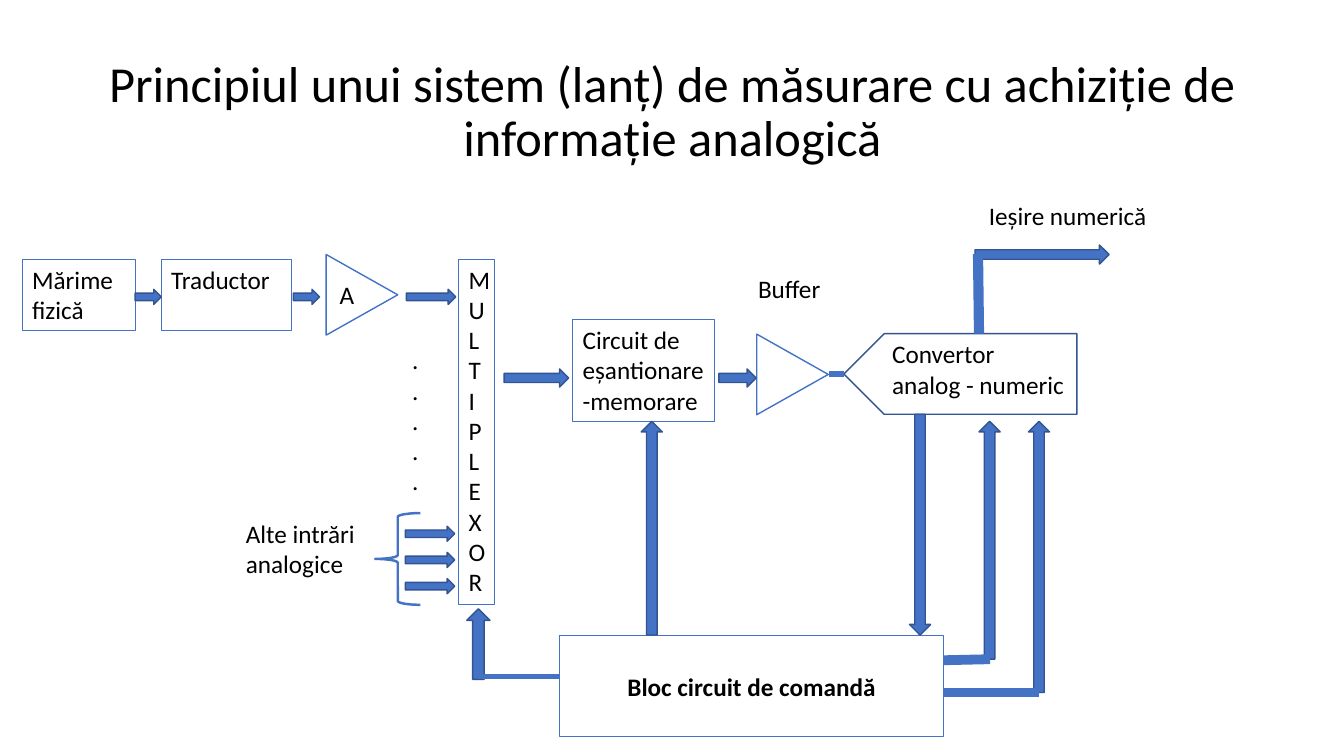
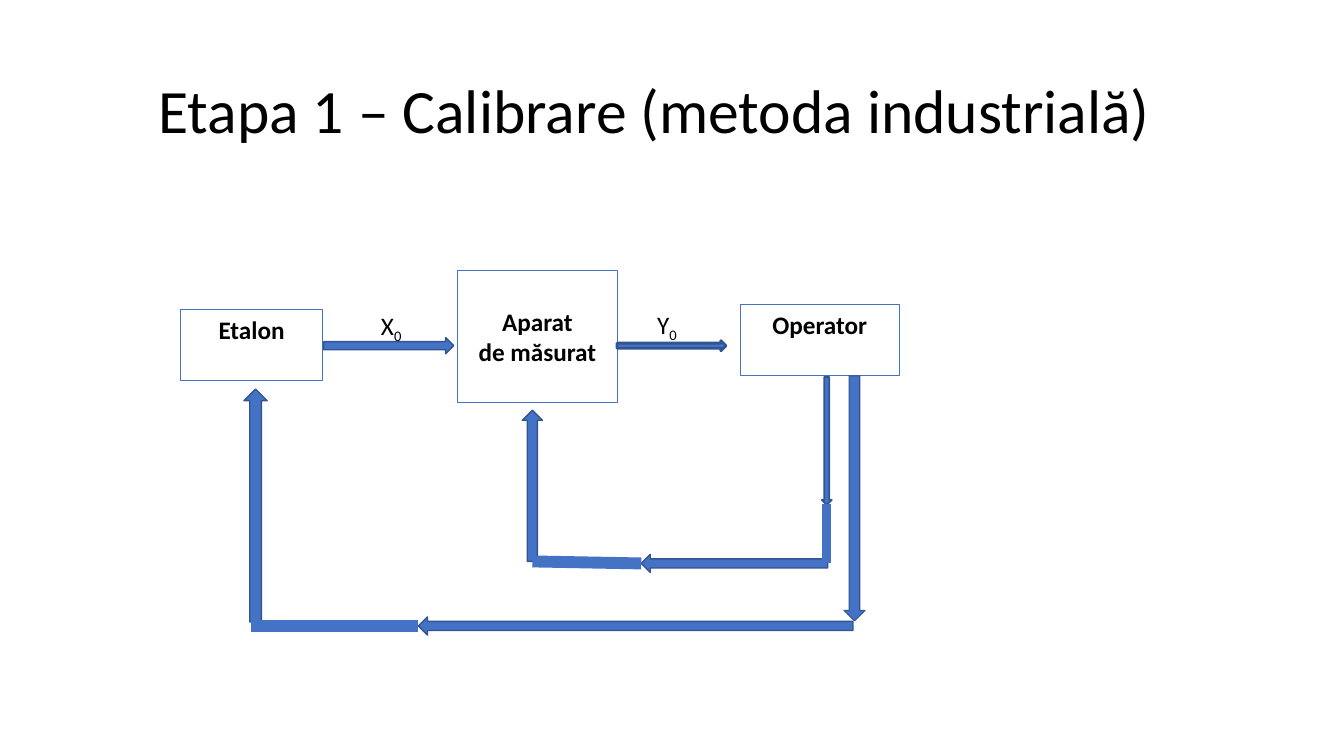
from typing import NamedTuple

from lxml import etree
from pptx import Presentation
from pptx.dml.color import RGBColor
from pptx.enum.shapes import MSO_CONNECTOR, MSO_SHAPE
from pptx.enum.text import MSO_ANCHOR, MSO_AUTO_SIZE, PP_ALIGN
from pptx.oxml.ns import qn
from pptx.shapes.autoshape import Shape
from pptx.slide import Slide
from pptx.text.text import TextFrame
from pptx.util import Inches, Pt

BLUE = RGBColor(0x44, 0x72, 0xC4)
DARK_BLUE = RGBColor(0x32, 0x54, 0x91)
BLACK = RGBColor(0, 0, 0)
FONT = "Calibri"
BODY_PT = 18
TITLE_ONLY = 5

RIGHT, LEFT = MSO_SHAPE.RIGHT_ARROW, MSO_SHAPE.LEFT_ARROW
UP, DOWN = MSO_SHAPE.UP_ARROW, MSO_SHAPE.DOWN_ARROW
RECTANGLE, TRIANGLE = MSO_SHAPE.RECTANGLE, MSO_SHAPE.ISOSCELES_TRIANGLE
PENTAGON, BRACE = MSO_SHAPE.PENTAGON, MSO_SHAPE.LEFT_BRACE
STRAIGHT = MSO_CONNECTOR.STRAIGHT
TOP, MIDDLE = MSO_ANCHOR.TOP, MSO_ANCHOR.MIDDLE
ALIGN_LEFT, ALIGN_CENTER = PP_ALIGN.LEFT, PP_ALIGN.CENTER
NO_AUTOFIT = MSO_AUTO_SIZE.NONE


class Place(NamedTuple):
    left: float
    top: float
    width: float
    height: float


class Block(NamedTuple):
    """A framed block of the diagram; its bold text is centred."""
    place: Place
    lines: list[str]
    bold: bool = False
    anchor: MSO_ANCHOR = TOP


class Label(NamedTuple):
    place: Place
    lines: list[str]
    subscript: str = ""
    wrap: bool = True


class Outline(NamedTuple):
    kind: MSO_SHAPE
    place: Place
    color: RGBColor = BLUE
    line_pt: float = 1
    rotation: int = 0


class Arrow(NamedTuple):
    kind: MSO_SHAPE
    place: Place
    line_pt: float = 1


class Link(NamedTuple):
    start: tuple[float, float]
    end: tuple[float, float]
    line_pt: float


def inches(place: Place) -> list[int]:
    return [Inches(length) for length in place]


def write(frame: TextFrame, lines: list[str], size: float = BODY_PT,
          align: PP_ALIGN = ALIGN_LEFT, bold: bool = False,
          subscript: str = "") -> None:
    """Write one paragraph per line; a subscript follows the last one."""
    frame.auto_size = NO_AUTOFIT
    for index, line in enumerate(lines):
        paragraph = frame.paragraphs[0] if index == 0 else frame.add_paragraph()
        paragraph.alignment = align
        last = index == len(lines) - 1
        for text in [line, subscript] if subscript and last else [line]:
            run = paragraph.add_run()
            run.text = text
            font = run.font
            font.name, font.size, font.bold = FONT, Pt(size), bold
            font.color.rgb = BLACK
        if subscript and last:
            run._r.get_or_add_rPr().set("baseline", "-25000")


def add_title(slide: Slide, text: str, size: float, align: PP_ALIGN,
              indent: float = 0.1) -> None:
    title = slide.shapes.title
    title.left, title.top, title.width, title.height = inches(
        Place(0.92, 0.4, 11.5, 1.45))
    frame = title.text_frame
    frame.word_wrap = True
    frame.vertical_anchor = MIDDLE
    frame.margin_left = Inches(indent)
    write(frame, [text], size, align)
    frame.paragraphs[0].line_spacing = 0.9


def add_outline(slide: Slide, outline: Outline) -> Shape:
    shape = slide.shapes.add_shape(outline.kind, *inches(outline.place))
    shape.shadow.inherit = False
    shape.rotation = outline.rotation
    shape.fill.background()
    shape.line.color.rgb = outline.color
    shape.line.width = Pt(outline.line_pt)
    return shape


def add_block(slide: Slide, block: Block) -> None:
    shape = add_outline(slide, Outline(RECTANGLE, block.place, line_pt=0.75))
    frame = shape.text_frame
    frame.word_wrap = True
    frame.vertical_anchor = block.anchor
    align = ALIGN_CENTER if block.bold else ALIGN_LEFT
    write(frame, block.lines, align=align, bold=block.bold)


def add_label(slide: Slide, label: Label) -> None:
    frame = slide.shapes.add_textbox(*inches(label.place)).text_frame
    frame.word_wrap = label.wrap
    write(frame, label.lines, subscript=label.subscript)


def add_arrow(slide: Slide, arrow: Arrow) -> None:
    shape = add_outline(
        slide, Outline(arrow.kind, arrow.place, DARK_BLUE, arrow.line_pt))
    shape.fill.solid()
    shape.fill.fore_color.rgb = BLUE


def add_link(slide: Slide, link: Link) -> None:
    ends = [Inches(length) for length in (*link.start, *link.end)]
    connector = slide.shapes.add_connector(STRAIGHT, *ends)
    connector.line.color.rgb = BLUE
    connector.line.width = Pt(link.line_pt)
    etree.SubElement(connector._element.spPr, qn("a:effectLst"))


def draw(slide: Slide, blocks: list[Block], outlines: list[Outline],
         labels: list[Label], arrows: list[Arrow], links: list[Link]) -> None:
    for parts, add in ((blocks, add_block), (outlines, add_outline),
                       (labels, add_label), (arrows, add_arrow),
                       (links, add_link)):
        for part in parts:
            add(slide, part)


def build_acquisition(slide: Slide) -> None:
    add_title(slide, "Principiul unui sistem (lanț) de măsurare cu achiziție "
              "de informație analogică", 36, ALIGN_CENTER)
    blocks = [
        Block(Place(4.55, 2.57, 0.36, 3.43), ["MULTIPLEXOR"]),
        Block(Place(0.22, 2.57, 1.12, 0.71), ["Mărime fizică"]),
        Block(Place(1.6, 2.57, 1.29, 0.71), ["Traductor"]),
        Block(Place(5.68, 3.17, 1.41, 1.01),
              ["Circuit de eșantionare-memorare"]),
        Block(Place(5.55, 6.3, 3.81, 1.01), ["Bloc circuit de comandă"],
              bold=True, anchor=MIDDLE),
    ]
    # Amplifier, buffer, converter and the group of other inputs
    outlines = [
        Outline(TRIANGLE, Place(3.19, 2.57, 0.8, 0.71), rotation=90),
        Outline(TRIANGLE, Place(7.46, 3.36, 0.8, 0.71), rotation=90),
        Outline(PENTAGON, Place(8.37, 3.31, 2.31, 0.8), DARK_BLUE,
                rotation=180),
        Outline(BRACE, Place(3.72, 5.09, 0.45, 0.91), line_pt=1.75),
    ]
    labels = [
        Label(Place(3.99, 3.37, 0.37, 1.92), ["."] * 5),
        Label(Place(3.27, 2.72, 0.35, 0.4), ["A"], wrap=False),
        Label(Place(2.34, 5.09, 1.6, 0.71), ["Alte intrări", "analogice"]),
        Label(Place(7.42, 2.66, 1.6, 0.4), ["Buffer"]),
        Label(Place(8.75, 3.31, 1.93, 0.71),
              ["Convertor", "analog - numeric"], wrap=False),
        Label(Place(9.71, 1.94, 1.93, 0.4), ["Ieșire numerică"]),
    ]
    # Signal path, then other inputs, then control and output
    arrows = [Arrow(RIGHT, Place(left, 2.87, width, 0.15))
              for left, width in ((1.34, 0.26), (2.91, 0.26), (4.03, 0.49))]
    arrows += [Arrow(RIGHT, Place(left, 3.66, width, 0.18))
               for left, width in ((5, 0.64), (7.13, 0.37))]
    arrows += [Arrow(RIGHT, Place(4.02, 5.22 + 0.26 * row, 0.49, 0.15))
               for row in range(3)]
    arrows += [Arrow(UP, Place(left, 4.18, 0.21, height))
               for left, height in ((6.36, 2.12), (9.71, 2.36), (10.2, 2.69))]
    arrows += [
        Arrow(UP, Place(4.63, 6.04, 0.23, 0.7)),
        Arrow(DOWN, Place(9.02, 4.11, 0.21, 2.19)),
        Arrow(RIGHT, Place(9.67, 2.43, 1.33, 0.19)),
    ]
    links = [
        Link((8.22, 3.71), (8.37, 3.71), 3.75),
        Link((5.55, 6.71), (4.74, 6.71), 3.75),
        Link((9.36, 6.55), (9.82, 6.54), 7),
        Link((9.35, 6.87), (10.31, 6.87), 7),
        Link((9.7, 2.52), (9.71, 3.31), 7.25),
    ]
    draw(slide, blocks, outlines, labels, arrows, links)


def build_calibration(slide: Slide) -> None:
    add_title(slide, "Etapa 1 – Calibrare (metoda industrială)", 44,
              ALIGN_LEFT, indent=0.65)
    blocks = [
        Block(Place(1.79, 3.07, 1.41, 0.71), ["Etalon"], bold=True),
        Block(Place(4.54, 2.68, 1.58, 1.31), ["Aparat", "de măsurat"],
              bold=True, anchor=MIDDLE),
        Block(Place(7.34, 3.02, 1.58, 0.71), ["Operator"], bold=True),
    ]
    labels = [
        Label(Place(3.68, 3.03, 0.48, 0.4), ["X"], subscript="0"),
        Label(Place(6.42, 3.02, 0.79, 0.4), ["Y"], subscript="0"),
    ]
    # Measuring path, then the two feedback loops
    arrows = [
        Arrow(RIGHT, Place(3.21, 3.35, 1.29, 0.16)),
        Arrow(RIGHT, Place(6.12, 3.38, 1.08, 0.1), 2),
        Arrow(DOWN, Place(8.15, 3.74, 0.1, 1.27), 1.25),
        Arrow(LEFT, Place(6.36, 5.5, 1.85, 0.18)),
        Arrow(UP, Place(5.18, 4.07, 0.2, 1.5)),
        Arrow(DOWN, Place(8.37, 3.73, 0.21, 2.43), 0),
        Arrow(LEFT, Place(4.15, 6.12, 4.31, 0.18)),
        Arrow(UP, Place(2.42, 3.86, 0.23, 2.31)),
    ]
    links = [
        Link((5.28, 5.57), (6.36, 5.59), 8.5),
        Link((8.2, 5), (8.2, 5.59), 6.25),
        Link((2.49, 6.21), (4.15, 6.21), 8.5),
    ]
    draw(slide, blocks, [], labels, arrows, links)


def main() -> None:
    deck = Presentation()
    deck.slide_width, deck.slide_height = Inches(13.33), Inches(7.5)
    for build in (build_acquisition, build_calibration):
        build(deck.slides.add_slide(deck.slide_layouts[TITLE_ONLY]))
    deck.save("out.pptx")


if __name__ == "__main__":
    main()
